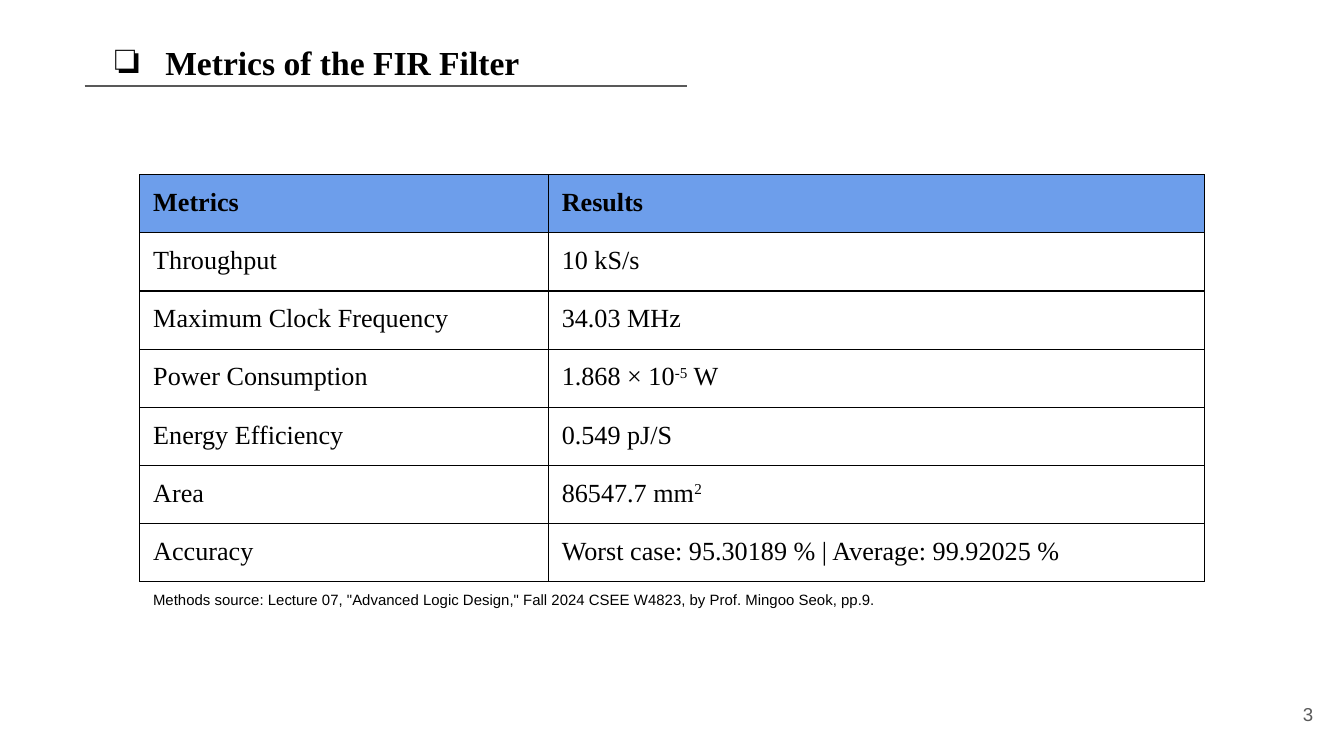
"""Build the slide with the metrics table of the FIR filter."""
from lxml.etree import SubElement
from pptx import Presentation
from pptx.dml.color import RGBColor
from pptx.enum.shapes import MSO_CONNECTOR as Connector
from pptx.enum.text import MSO_ANCHOR as Anchor, MSO_AUTO_SIZE as AutoSize, PP_ALIGN as Align
from pptx.oxml.ns import qn
from pptx.util import Inches, Pt

BLACK = RGBColor(0x00, 0x00, 0x00)
WHITE = RGBColor(0xFF, 0xFF, 0xFF)
GRAY = RGBColor(0x59, 0x59, 0x59)
BLUE = RGBColor(0x6D, 0x9E, 0xEB)
SERIF = "Times New Roman"
SANS = "Arial"
INSET = Inches(0.1)
COLUMN_WIDTHS = (3.04, 4.88)
TABLE_HEIGHT = 3.03
METRICS = [
    ("Metrics", ["Results"]),
    ("Throughput", ["10 kS/s"]),
    ("Maximum Clock Frequency", ["34.03 MHz"]),
    ("Power Consumption", ["1.868 × 10", "-5", " W"]),
    ("Energy Efficiency", ["0.549 pJ/S"]),
    ("Area", ["86547.7 mm", "2"]),
    ("Accuracy", ["Worst case: 95.30189 % | Average: 99.92025 %"]),
]


def add_span(para, text, size=14, font=SERIF, color=BLACK, bold=False, raised=False):
    """Add one formatted run to a paragraph."""
    span = para.add_run()
    span.text = text
    span.font.size = Pt(size)
    span.font.name = font
    span.font.bold = bold
    span.font.color.rgb = color
    if raised:
        span._r.get_or_add_rPr().set("baseline", "30000")


def set_insets(target):
    """Give a text frame or a table cell equal margins."""
    target.margin_left = target.margin_right = INSET
    target.margin_top = target.margin_bottom = INSET


def set_bullet(para, symbol, indent, hanging):
    """Give a paragraph a black bullet with a hanging indent."""
    props = para._p.get_or_add_pPr()
    props.set("marL", str(Inches(indent)))
    props.set("indent", str(-Inches(hanging)))
    color = SubElement(props, qn("a:buClr"))
    SubElement(color, qn("a:srgbClr"), val=str(BLACK))
    SubElement(props, qn("a:buSzPct"), val="100000")
    SubElement(props, qn("a:buFont"), typeface=SERIF)
    SubElement(props, qn("a:buChar"), char=symbol)


def set_borders(cell, color=BLACK, width=0.75):
    """Draw the four borders of a table cell."""
    props = cell._tc.get_or_add_tcPr()
    for index, side in enumerate(("lnL", "lnR", "lnT", "lnB")):
        line = props.makeelement(qn(f"a:{side}"), {"w": str(Pt(width))})
        fill = SubElement(line, qn("a:solidFill"))
        SubElement(fill, qn("a:srgbClr"), val=str(color))
        props.insert(index, line)


def add_title(page, text):
    """Place the bulleted title in the title placeholder."""
    title = page.shapes.title
    title.left, title.top = Inches(0.63), Inches(0.21)
    title.width, title.height = Inches(3.95), Inches(0.5)
    frame = title.text_frame
    set_insets(frame)
    frame.auto_size = AutoSize.NONE
    frame.vertical_anchor = Anchor.TOP
    para = frame.paragraphs[0]
    para.alignment = Align.LEFT
    set_bullet(para, "❏", 0.5, 0.38)
    add_span(para, text, size=18, bold=True)


def add_rule(page, left, right, top):
    """Draw the thin line under the title."""
    rule = page.shapes.add_connector(
        Connector.STRAIGHT, Inches(left), Inches(top), Inches(right), Inches(top))
    rule.line.color.rgb = GRAY
    rule.line.width = Pt(0.75)
    SubElement(rule._element.spPr, qn("a:effectLst"))


def add_text(page, text, left, top, width, height, align=Align.LEFT, anchor=Anchor.TOP, **style):
    """Add a text box with one paragraph."""
    box = page.shapes.add_textbox(Inches(left), Inches(top), Inches(width), Inches(height))
    frame = box.text_frame
    frame.word_wrap = True
    frame.vertical_anchor = anchor
    set_insets(frame)
    para = frame.paragraphs[0]
    para.alignment = align
    add_span(para, text, **style)


def fill_cell(cell, parts, header):
    """Fill a cell with text whose every second part is raised."""
    set_insets(cell)
    cell.fill.solid()
    cell.fill.fore_color.rgb = BLUE if header else WHITE
    set_borders(cell)
    for index, part in enumerate(parts):
        add_span(cell.text_frame.paragraphs[0], part, bold=header, raised=index % 2 == 1)


def add_metrics_table(page, left, top):
    """Add the table of metrics and results."""
    table = page.shapes.add_table(
        len(METRICS), len(COLUMN_WIDTHS), Inches(left), Inches(top),
        Inches(sum(COLUMN_WIDTHS)), Inches(TABLE_HEIGHT)).table
    table.horz_banding = False
    for column, width in zip(table.columns, COLUMN_WIDTHS):
        column.width = Inches(width)
    for index, (metric, result) in enumerate(METRICS):
        fill_cell(table.cell(index, 0), [metric], index == 0)
        fill_cell(table.cell(index, 1), result, index == 0)


def main():
    """Build and save the deck."""
    deck = Presentation()
    deck.slide_width = Inches(10)
    deck.slide_height = deck.slide_width * 9 // 16
    page = deck.slides.add_slide(deck.slide_layouts.get_by_name("Title Only"))
    add_title(page, "Metrics of the FIR Filter")
    add_metrics_table(page, 1.04, 1.3)
    add_text(page, "3", 9.27, 5.1, 0.6, 0.43, align=Align.RIGHT, anchor=Anchor.MIDDLE,
             size=10, font=SANS, color=GRAY)
    add_rule(page, 0.63, 5.11, 0.64)
    add_text(page, 'Methods source: Lecture 07, "Advanced Logic Design," Fall 2024 CSEE W4823, '
             "by Prof. Mingoo Seok, pp.9.", 1.04, 4.33, 6.21, 0.34, size=8, font=SANS)
    deck.save("out.pptx")


if __name__ == "__main__":
    main()
